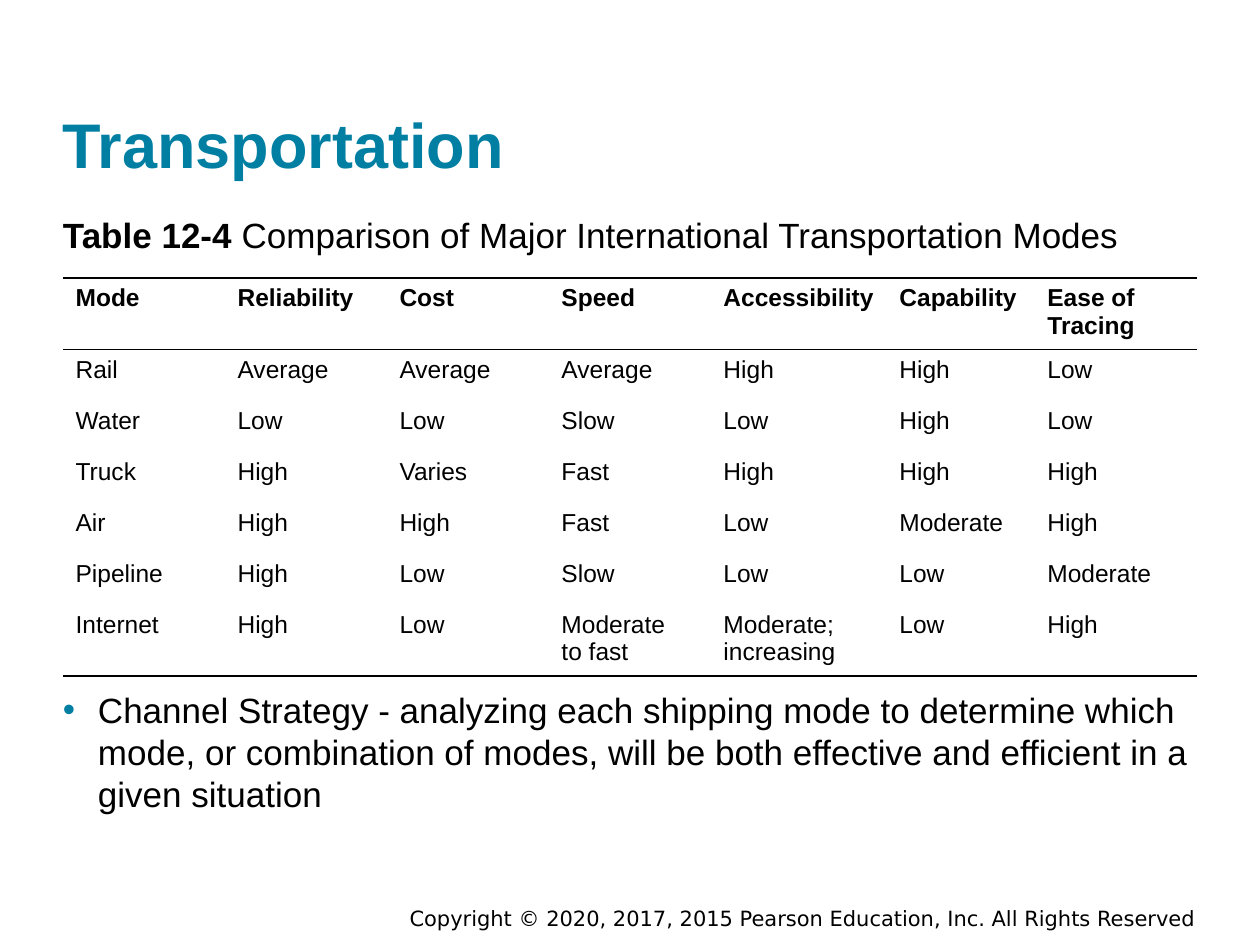
from lxml.etree import SubElement
from pptx import Presentation
from pptx.dml.color import RGBColor
from pptx.enum.text import MSO_ANCHOR, PP_ALIGN
from pptx.oxml import parse_xml
from pptx.oxml.ns import nsdecls, qn
from pptx.util import Emu, Pt

PX = 914400 / 126
BLACK = RGBColor(0x00, 0x00, 0x00)
TEAL = RGBColor(0x00, 0x7F, 0xA3)

TITLE = dict(name="Arial", size=Pt(36), bold=True, color=TEAL)
BODY = dict(name="Arial", size=Pt(20), bold=False, color=BLACK)
LABEL = {**BODY, "bold": True}
CELL = {**BODY, "size": Pt(14)}
HEADER = {**CELL, "bold": True}
FOOTER = dict(name="DejaVu Sans", size=Pt(12), color=BLACK)

COLUMNS = [162, 162, 162, 162, 176, 148, 162]
ROWS = [68, 51, 51, 51, 51, 51, 68]
MODES = [
    ["Mode", "Reliability", "Cost", "Speed", "Accessibility", "Capability", "Ease of\nTracing"],
    ["Rail", "Average", "Average", "Average", "High", "High", "Low"],
    ["Water", "Low", "Low", "Slow", "Low", "High", "Low"],
    ["Truck", "High", "Varies", "Fast", "High", "High", "High"],
    ["Air", "High", "High", "Fast", "Low", "Moderate", "High"],
    ["Pipeline", "High", "Low", "Slow", "Low", "Low", "Moderate"],
    ["Internet", "High", "Low", "Moderate\nto fast", "Moderate;\nincreasing", "Low", "High"],
]


def px(n):
    return Emu(round(n * PX))


def style(font, fmt):
    for key, value in fmt.items():
        if key == "color":
            font.color.rgb = value
        else:
            setattr(font, key, value)


def add_text(s, box, runs, anchor=MSO_ANCHOR.TOP, margin=0):
    """Add a one-paragraph text box and return its paragraph."""
    tf = s.shapes.add_textbox(*map(px, box)).text_frame
    tf.word_wrap = True
    tf.vertical_anchor = anchor
    for side in ("left", "top", "right", "bottom"):
        setattr(tf, f"margin_{side}", px(margin))
    p = tf.paragraphs[0]
    for text, fmt in runs:
        r = p.add_run()
        r.text = text
        style(r.font, fmt)
    return p


def set_borders(cell, ruled):
    """Rule the given edges in black and clear the others."""
    tcPr = cell._tc.get_or_add_tcPr()
    for i, edge in enumerate("LRTB"):
        fill = (f'<a:solidFill><a:srgbClr val="{BLACK}"/></a:solidFill>'
                if edge in ruled else "<a:noFill/>")
        tcPr.insert(i, parse_xml(f'<a:ln{edge} {nsdecls("a")} w="12700">{fill}</a:ln{edge}>'))


def add_modes_table(s, x, y):
    frame = s.shapes.add_table(len(ROWS), len(COLUMNS), px(x), px(y),
                               px(sum(COLUMNS)), px(sum(ROWS)))
    table = frame.table
    table.first_row = table.horz_banding = False
    for column, width in zip(table.columns, COLUMNS):
        column.width = px(width)
    for row, height in zip(table.rows, ROWS):
        row.height = px(height)
    edges = {0: "TB", 1: "T", len(ROWS) - 1: "B"}
    for i, values in enumerate(MODES):
        for j, value in enumerate(values):
            cell = table.cell(i, j)
            cell.text = value
            cell.fill.background()
            set_borders(cell, edges.get(i, ""))
            for p in cell.text_frame.paragraphs:
                for r in p.runs:
                    style(r.font, CELL if i else HEADER)


def add_bullet(s, box, text):
    p = add_text(s, box, [(text, BODY)])
    pPr = p._p.get_or_add_pPr()
    pPr.set("marL", str(px(35)))
    pPr.set("indent", str(-px(35)))
    color = SubElement(pPr, qn("a:buClr"))
    SubElement(color, qn("a:srgbClr")).set("val", str(TEAL))
    SubElement(pPr, qn("a:buFont")).set("typeface", "Arial")
    SubElement(pPr, qn("a:buChar")).set("char", "•")


def add_footer(s, box, text):
    p = add_text(s, box, [(text, FOOTER)], MSO_ANCHOR.MIDDLE, margin=12)
    p.alignment = PP_ALIGN.RIGHT


def main():
    prs = Presentation()
    prs.slide_width, prs.slide_height = px(1260), px(945)
    s = prs.slides.add_slide(prs.slide_layouts[6])

    # Title and table caption
    add_text(s, (63, 30, 1134, 151), [("Transportation", TITLE)], MSO_ANCHOR.BOTTOM)
    add_text(s, (63, 214, 1134, 48), [
        ("Table 12-4 ", LABEL),
        ("Comparison of Major International Transportation Modes", BODY),
    ])

    # Comparison table
    add_modes_table(s, 63, 278)

    # Strategy note and copyright line
    add_bullet(s, (63, 689, 1134, 136),
               "Channel Strategy - analyzing each shipping mode to determine which mode, "
               "or combination of modes, will be both effective and efficient in a given situation")
    add_footer(s, (381, 891, 827, 54),
               "Copyright © 2020, 2017, 2015 Pearson Education, Inc. All Rights Reserved")

    prs.save("out.pptx")


if __name__ == "__main__":
    main()
